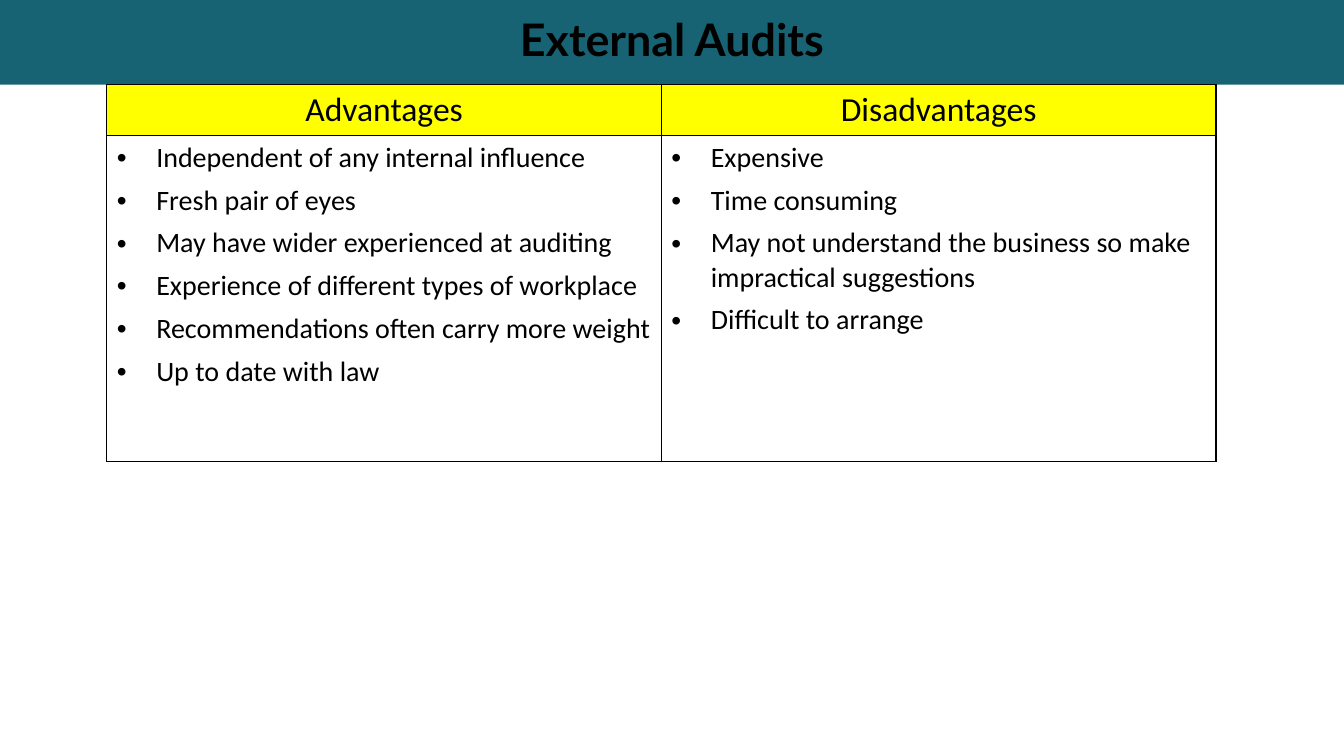
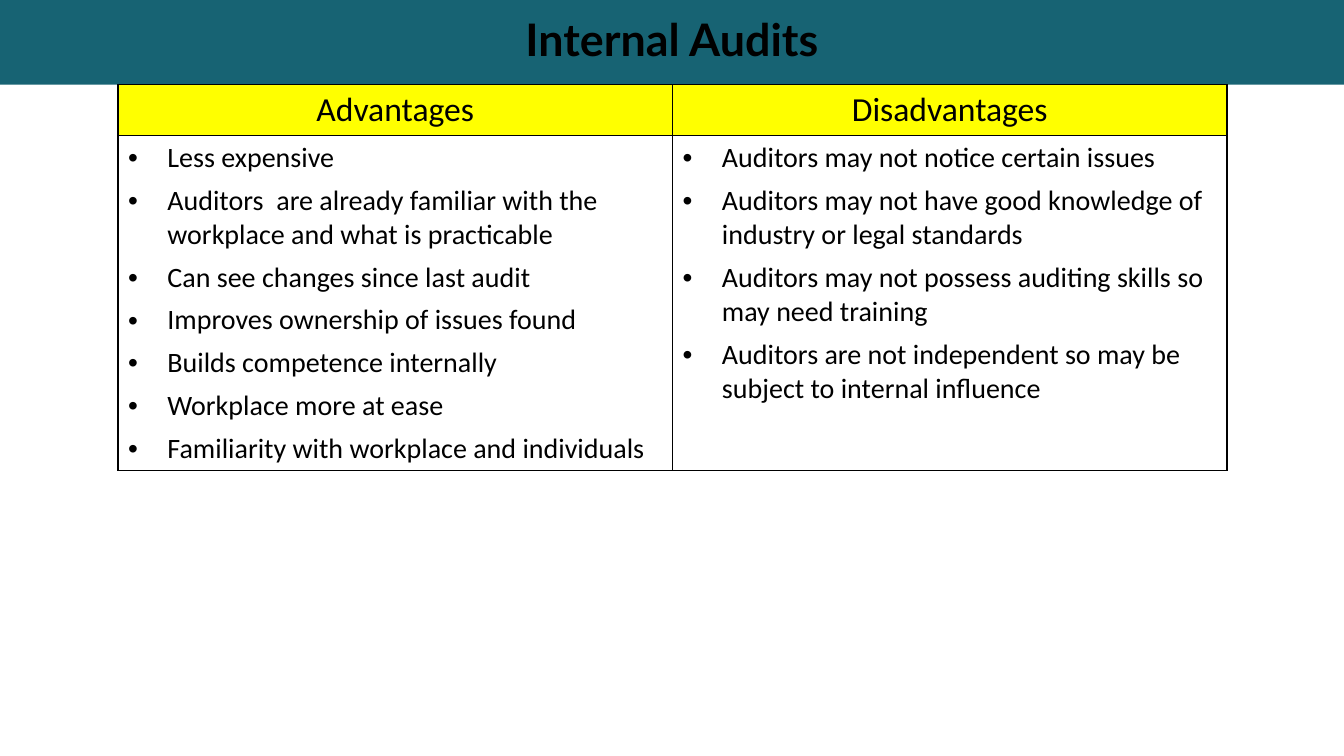
from dataclasses import dataclass

import pptx
import pptx.dml.color
import pptx.enum.shapes
import pptx.enum.text
import pptx.oxml.ns
import pptx.presentation
import pptx.slide
import pptx.table
import pptx.text.text
import pptx.util
from lxml import etree

Inches = pptx.util.Inches
Pt = pptx.util.Pt
Align = pptx.enum.text.PP_ALIGN
Anchor = pptx.enum.text.MSO_ANCHOR


@dataclass(frozen=True)
class Theme:
    band: str = "176373"
    header: str = "FFFF00"
    ink: str = "000000"
    title_font: str = "Lato"
    body_font: str = "Calibri"
    title_size: int = 32
    header_size: int = 24
    body_size: int = 20
    border_width: int = 1


@dataclass(frozen=True)
class AuditSlide:
    title: str
    table_left: float
    body_height: float
    advantages: tuple[str, ...]
    disadvantages: tuple[str, ...]


THEME = Theme()
SLIDE_WIDTH = Inches(13.33)
SLIDE_HEIGHT = Inches(7.5)
BAND_HEIGHT = Inches(0.84)
COLUMN_WIDTH = Inches(5.5)
HEADER_HEIGHT = Inches(0.5)
BULLET_INDENT = Inches(0.39)
HEADINGS = ("Advantages", "Disadvantages")

AUDIT_SLIDES = (
    AuditSlide(
        title="External Audits",
        table_left=1.06,
        body_height=3.23,
        advantages=(
            "Independent of any internal influence",
            "Fresh pair of eyes",
            "May have wider experienced at auditing",
            "Experience of different types of workplace",
            "Recommendations often carry more weight",
            "Up to date with law",
        ),
        disadvantages=(
            "Expensive",
            "Time consuming",
            "May not understand the business so make impractical suggestions",
            "Difficult to arrange",
        ),
    ),
    AuditSlide(
        title="Internal Audits",
        table_left=1.17,
        body_height=3.2,
        advantages=(
            "Less expensive",
            "Auditors  are already familiar with the workplace and what is practicable",
            "Can see changes since last audit",
            "Improves ownership of issues found",
            "Builds competence internally",
            "Workplace more at ease",
            "Familiarity with workplace and individuals",
        ),
        disadvantages=(
            "Auditors may not notice certain issues",
            "Auditors may not have good knowledge of industry or legal standards",
            "Auditors may not possess auditing skills so may need training",
            "Auditors are not independent so may be subject to internal influence",
        ),
    ),
)


def rgb(color: str) -> pptx.dml.color.RGBColor:
    return pptx.dml.color.RGBColor.from_string(color)


def add_xml(parent: etree._Element, tag: str, **attributes: str) -> etree._Element:
    return etree.SubElement(parent, pptx.oxml.ns.qn(tag), attributes)


def write_text(
    frame: pptx.text.text.TextFrame,
    *lines: str,
    size: int,
    font: str = THEME.body_font,
    bold: bool = False,
    align: Align = Align.LEFT,
    line_spacing: float = 1.0,
    space_before: int = 0,
    bullet: bool = False,
) -> None:
    """Write each line as one paragraph, all in the same format."""
    frame.word_wrap = True
    for index, line in enumerate(lines):
        paragraph = frame.add_paragraph() if index else frame.paragraphs[0]
        paragraph.alignment = align
        paragraph.line_spacing = line_spacing
        paragraph.space_before = Pt(space_before)
        run = paragraph.add_run()
        run.text = line
        run.font.name = font
        run.font.size = Pt(size)
        run.font.bold = bold
        run.font.color.rgb = rgb(THEME.ink)
        if bullet:
            add_bullet(paragraph)


def add_bullet(paragraph: pptx.text.text._Paragraph) -> None:
    properties = paragraph._p.get_or_add_pPr()
    properties.set("marL", str(BULLET_INDENT))
    properties.set("indent", str(-BULLET_INDENT))
    add_xml(properties, "a:buFont", typeface="Arial")
    add_xml(properties, "a:buChar", char="•")


def add_borders(cell: pptx.table._Cell) -> None:
    properties = cell._tc.get_or_add_tcPr()
    for side in ("a:lnL", "a:lnR", "a:lnT", "a:lnB"):
        line = add_xml(properties, side, w=str(Pt(THEME.border_width)))
        add_xml(add_xml(line, "a:solidFill"), "a:srgbClr", val=THEME.ink)


def add_title_band(slide: pptx.slide.Slide, title: str) -> None:
    band = slide.shapes.add_shape(
        pptx.enum.shapes.MSO_SHAPE.RECTANGLE, 0, 0, SLIDE_WIDTH, BAND_HEIGHT
    )
    band.shadow.inherit = False
    band.fill.solid()
    band.fill.fore_color.rgb = rgb(THEME.band)
    band.line.fill.background()
    band.text_frame.vertical_anchor = Anchor.MIDDLE
    write_text(band.text_frame, title, size=THEME.title_size, font=THEME.title_font,
               bold=True, align=Align.CENTER, line_spacing=0.9)


def add_comparison_table(slide: pptx.slide.Slide, audit: AuditSlide) -> None:
    body_height = Inches(audit.body_height)
    table = slide.shapes.add_table(
        2, len(HEADINGS), Inches(audit.table_left), BAND_HEIGHT,
        COLUMN_WIDTH * len(HEADINGS), HEADER_HEIGHT + body_height,
    ).table
    table.first_row = False
    table.horz_banding = False
    table.rows[0].height = HEADER_HEIGHT
    table.rows[1].height = body_height

    columns = zip(HEADINGS, (audit.advantages, audit.disadvantages))
    for index, (heading, points) in enumerate(columns):
        table.columns[index].width = COLUMN_WIDTH
        header, body = table.cell(0, index), table.cell(1, index)
        for cell in (header, body):
            add_borders(cell)
        header.fill.solid()
        header.fill.fore_color.rgb = rgb(THEME.header)
        body.fill.background()
        write_text(header.text_frame, heading, size=THEME.header_size, align=Align.CENTER)
        write_text(body.text_frame, *points, size=THEME.body_size, space_before=6, bullet=True)


def build_presentation() -> pptx.presentation.Presentation:
    presentation = pptx.Presentation()
    presentation.slide_width = SLIDE_WIDTH
    presentation.slide_height = SLIDE_HEIGHT
    blank_layout = presentation.slide_layouts[6]
    for audit in AUDIT_SLIDES:
        slide = presentation.slides.add_slide(blank_layout)
        add_title_band(slide, audit.title)
        add_comparison_table(slide, audit)
    return presentation


def main() -> None:
    build_presentation().save("out.pptx")


if __name__ == "__main__":
    main()
